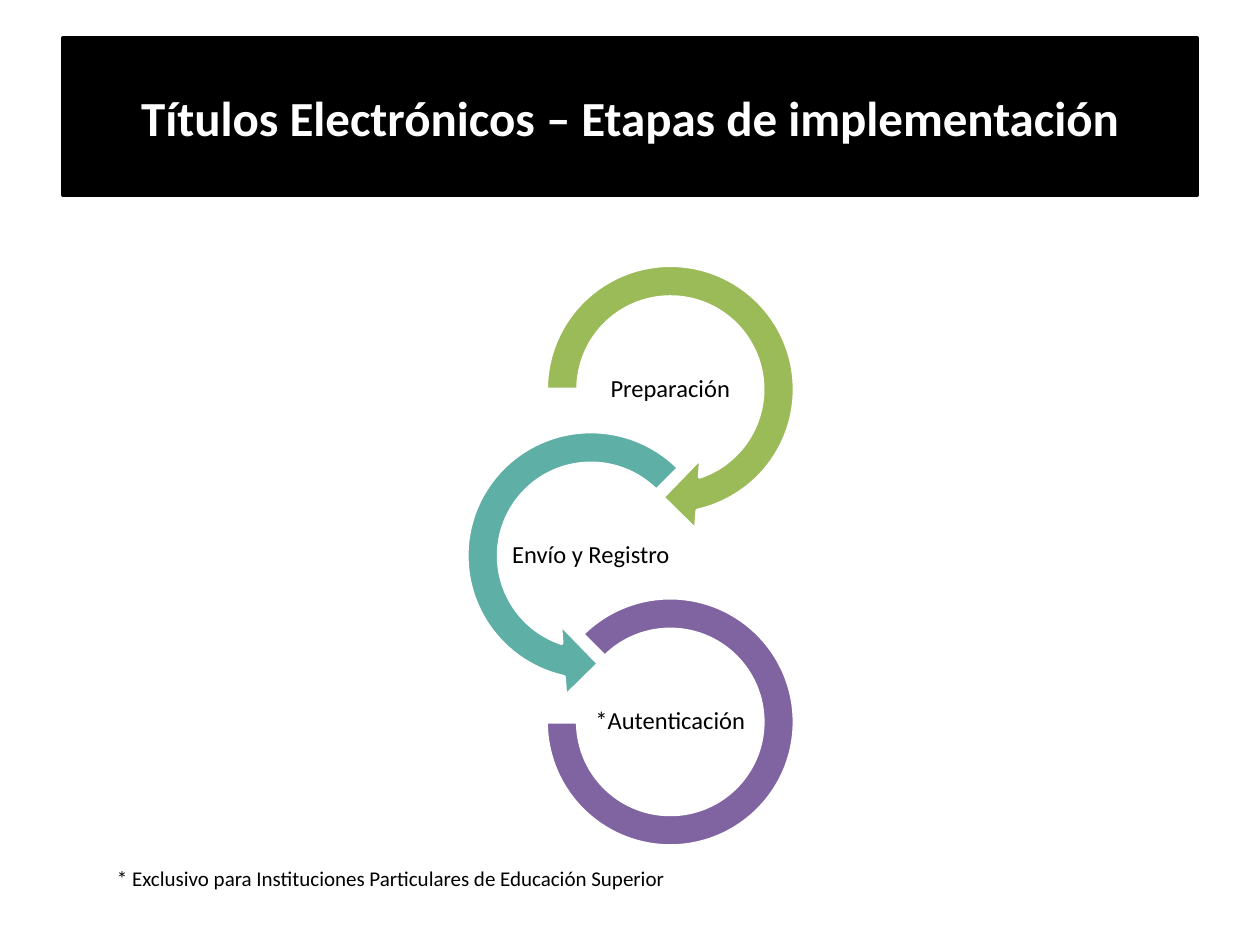
"""Build a slide with three linked stages of electronic degree issuing."""
import pptx
import pptx.util
import pptx.dml.color
import pptx.enum.shapes
import pptx.enum.text

Inches, Pt = pptx.util.Inches, pptx.util.Pt
RGBColor = pptx.dml.color.RGBColor
Shape = pptx.enum.shapes.MSO_SHAPE
Align = pptx.enum.text.PP_ALIGN
Anchor = pptx.enum.text.MSO_ANCHOR
Fit = pptx.enum.text.MSO_AUTO_SIZE

BLACK = RGBColor(0x00, 0x00, 0x00)
WHITE = RGBColor(0xFF, 0xFF, 0xFF)
GREEN = RGBColor(0x9B, 0xBB, 0x59)
TEAL = RGBColor(0x5E, 0xAF, 0xA6)
PURPLE = RGBColor(0x80, 0x64, 0xA2)

TITLE = "Títulos Electrónicos – Etapas de implementación"
NOTE = "* Exclusivo para Instituciones Particulares de Educación Superior"
STAGES = [
    ("Preparación", Shape.CIRCULAR_ARROW, GREEN, 5.32, 2.29,
     (0.11, 11.423, 45, 108, 0.125)),
    ("Envío y Registro", Shape.LEFT_CIRCULAR_ARROW, TEAL, 4.69, 2.29,
     (0.11, 11.423, 63, 189, 0.125)),
    ("*Autenticación", Shape.BLOCK_ARC, PURPLE, 5.32, 1.97,
     (135, 108, 0.127)),
]
TOP, STEP = 3.09, 1.32
WIDE, HIGH = 1.27, 0.64

TITLE_FONT = {"name": "Calibri", "size": Pt(28), "bold": True}
STAGE_FONT = {"name": "Calibri", "size": Pt(14)}
NOTE_FONT = {"name": "Calibri", "size": Pt(12)}
PAD = Inches(0.01)
STAGE_FRAME = {"word_wrap": True, "vertical_anchor": Anchor.MIDDLE,
               "margin_left": PAD, "margin_right": PAD,
               "margin_top": PAD, "margin_bottom": PAD}
STAGE_PARA = {"alignment": Align.CENTER, "line_spacing": 0.9,
              "space_after": Pt(4.9)}


def apply(item, values):
    for key, value in values.items():
        setattr(item, key, value)


def place(x, y, wide, high):
    return [Inches(v) for v in (x, y, wide, high)]


def paint(shape, fill, line):
    shape.fill.solid()
    shape.fill.fore_color.rgb = fill
    shape.line.color.rgb = line
    shape.line.width = Pt(2)


def write(shape, text, font, color, frame, para):
    body = shape.text_frame
    apply(body, frame)
    first = body.paragraphs[0]
    apply(first, para)
    run = first.add_run()
    run.text = text
    apply(run.font, font)
    run.font.color.rgb = color


def add_stage(group, index, stage):
    text, kind, color, mid, size, turns = stage
    y = TOP + index * STEP
    arc = group.shapes.add_shape(
        kind, *place(mid - size / 2, y - size / 2, size, size))
    arc.shadow.inherit = False
    for spot, turn in enumerate(turns):
        arc.adjustments[spot] = turn
    paint(arc, color, WHITE)
    label = group.shapes.add_textbox(
        *place(mid - WIDE / 2, y - HIGH / 2, WIDE, HIGH))
    write(label, text, STAGE_FONT, BLACK, STAGE_FRAME, STAGE_PARA)


def main():
    deck = pptx.Presentation()
    deck.slide_width, deck.slide_height = Inches(10), Inches(7.5)
    slide = deck.slides.add_slide(deck.slide_layouts[5])

    title = slide.shapes.title
    box = place(0.5, 0.3, 9, 1.25)
    apply(title, dict(zip(("left", "top", "width", "height"), box)))
    paint(title, BLACK, BLACK)
    write(title, TITLE, TITLE_FONT, WHITE,
          {"vertical_anchor": Anchor.MIDDLE, "auto_size": Fit.NONE},
          {"alignment": Align.CENTER})

    group = slide.shapes.add_group_shape()
    for index, stage in enumerate(STAGES):
        add_stage(group, index, stage)

    note = slide.shapes.add_textbox(*place(0.83, 6.82, 8.49, 0.3))
    write(note, NOTE, NOTE_FONT, BLACK,
          {"word_wrap": True, "auto_size": Fit.SHAPE_TO_FIT_TEXT}, {})
    deck.save("out.pptx")


if __name__ == "__main__":
    main()
